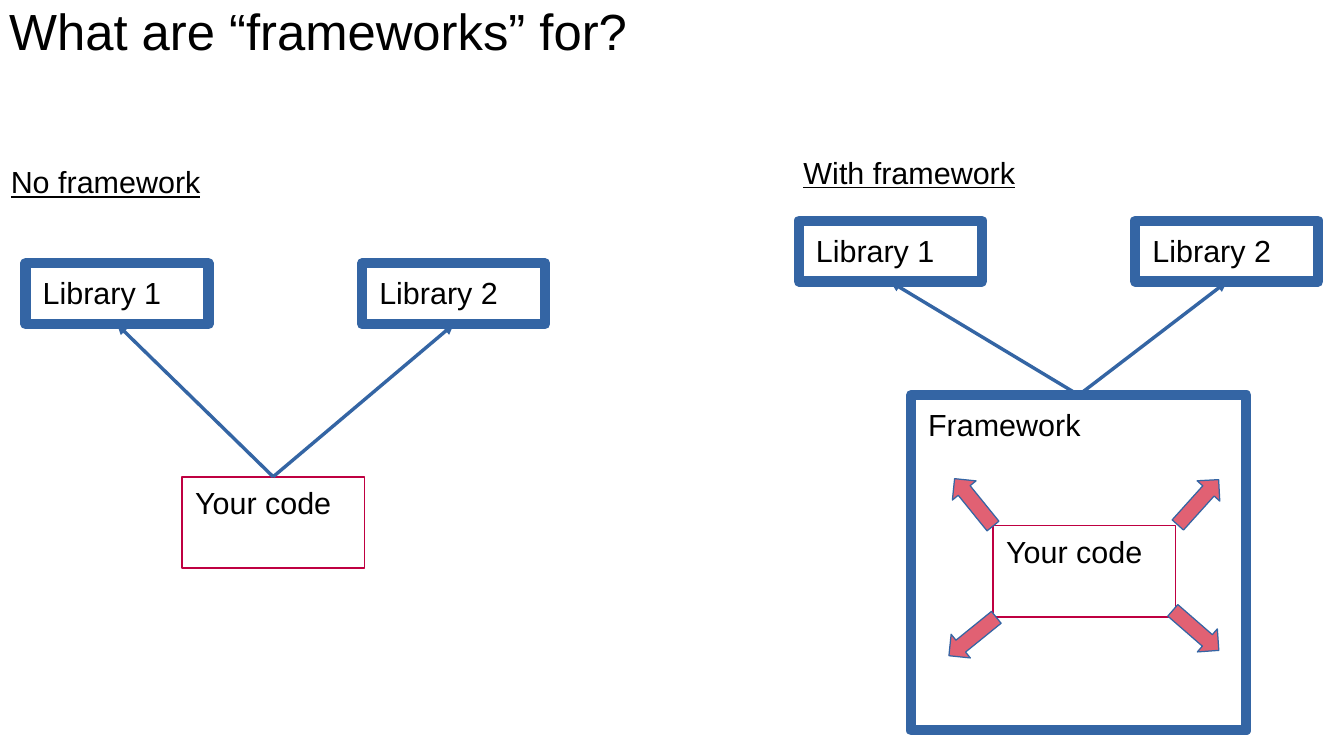
from dataclasses import dataclass

from lxml import etree
from pptx import Presentation
from pptx import util as u
from pptx.dml.color import RGBColor
from pptx.enum import shapes, text
from pptx.oxml import ns


@dataclass(frozen=True)
class Theme:
    font: str = "Arial"
    ink: str = "000000"
    blue: str = "3465A4"
    crimson: str = "BF0041"
    coral: str = "E16173"
    title_size: int = 30
    body_size: int = 18
    heavy: int = 6
    thin: int = 1
    hairline: int = 0


class Diagram:
    def __init__(self, slide, theme):
        self.shapes = slide.shapes
        self.theme = theme

    def label(self, frame, wording, size, inset, underline=None,
              align=text.PP_ALIGN.LEFT, anchor=text.MSO_ANCHOR.TOP):
        frame.text = wording
        frame.word_wrap = True
        frame.vertical_anchor = anchor
        frame.margin_left = frame.margin_right = u.Inches(inset[0])
        frame.margin_top = frame.margin_bottom = u.Inches(inset[1])
        frame.paragraphs[0].alignment = align
        font = frame.paragraphs[0].runs[0].font
        font.name = self.theme.font
        font.size = u.Pt(size)
        font.underline = underline
        font.color.rgb = RGBColor.from_string(self.theme.ink)

    def outline(self, line, color, width):
        line.color.rgb = RGBColor.from_string(color)
        line.width = u.Pt(width)

    def title(self, wording, left, top, width, height):
        box = self.shapes.add_textbox(*map(u.Inches, (left, top, width, height)))
        self.label(box.text_frame, wording, self.theme.title_size, (0, 0),
                   align=text.PP_ALIGN.CENTER, anchor=text.MSO_ANCHOR.MIDDLE)

    def heading(self, wording, left, top):
        box = self.shapes.add_textbox(*map(u.Inches, (left, top, 2, 0.38)))
        self.label(box.text_frame, wording, self.theme.body_size, (0.1, 0.05), underline=True)

    def box(self, wording, left, top, width, height, color, weight, inset):
        rect = self.shapes.add_shape(shapes.MSO_SHAPE.RECTANGLE,
                                     *map(u.Inches, (left, top, width, height)))
        rect.shadow.inherit = False
        rect.fill.background()
        self.outline(rect.line, color, weight)
        self.label(rect.text_frame, wording, self.theme.body_size, inset)
        return rect

    def framework(self, left, top):
        return self.box("Framework", left, top, 2.75, 2.75,
                        self.theme.blue, self.theme.heavy, (0.14, 0.09))

    def libraries(self, left, top):
        return [self.box(f"Library {i + 1}", left + 2.76 * i, top, 1.5, 0.5,
                         self.theme.blue, self.theme.heavy, (0.14, 0.09))
                for i in range(2)]

    def your_code(self, left, top):
        return self.box("Your code", left, top, 1.5, 0.75,
                        self.theme.crimson, self.theme.thin, (0.11, 0.06))

    def block_arrow(self, left, top, rotation):
        arrow = self.shapes.add_shape(shapes.MSO_SHAPE.UP_ARROW,
                                      *map(u.Inches, (left, top, 0.25, 0.5)))
        arrow.shadow.inherit = False
        arrow.rotation = rotation
        arrow.fill.solid()
        arrow.fill.fore_color.rgb = RGBColor.from_string(self.theme.coral)
        self.outline(arrow.line, self.theme.blue, self.theme.hairline)

    def link(self, caller, library):
        arrow = self.shapes.add_connector(shapes.MSO_CONNECTOR.STRAIGHT, 0, 0, 0, 0)
        arrow.begin_connect(caller, 0)
        arrow.end_connect(library, 2)
        self.outline(arrow.line, self.theme.blue, self.theme.hairline)
        properties = arrow._element.spPr
        etree.SubElement(properties.find(ns.qn("a:ln")), ns.qn("a:tailEnd"), type="triangle")
        etree.SubElement(properties, ns.qn("a:effectLst"))


def main():
    deck = Presentation()
    deck.slide_width, deck.slide_height = u.Inches(11.02), u.Inches(6.2)
    diagram = Diagram(deck.slides.add_slide(deck.slide_layouts[6]), Theme())

    diagram.title("What are “frameworks” for?", 0, 0, 5.22, 0.5)

    diagram.heading("No framework", -0.01, 1.29)
    plain_libraries = diagram.libraries(0.21, 2.16)
    plain_code = diagram.your_code(1.49, 3.91)

    diagram.heading("With framework", 6.49, 1.21)
    framework = diagram.framework(7.47, 3.24)
    framework_libraries = diagram.libraries(6.55, 1.81)
    diagram.your_code(8.14, 4.31)
    for left, top, rotation in ((7.86, 3.87, 321), (9.7, 3.87, 42),
                                (9.68, 4.92, 131), (7.85, 4.97, 231)):
        diagram.block_arrow(left, top, rotation)

    for caller, libraries in ((plain_code, plain_libraries),
                              (framework, framework_libraries)):
        for library in libraries:
            diagram.link(caller, library)

    deck.save("out.pptx")


if __name__ == "__main__":
    main()
